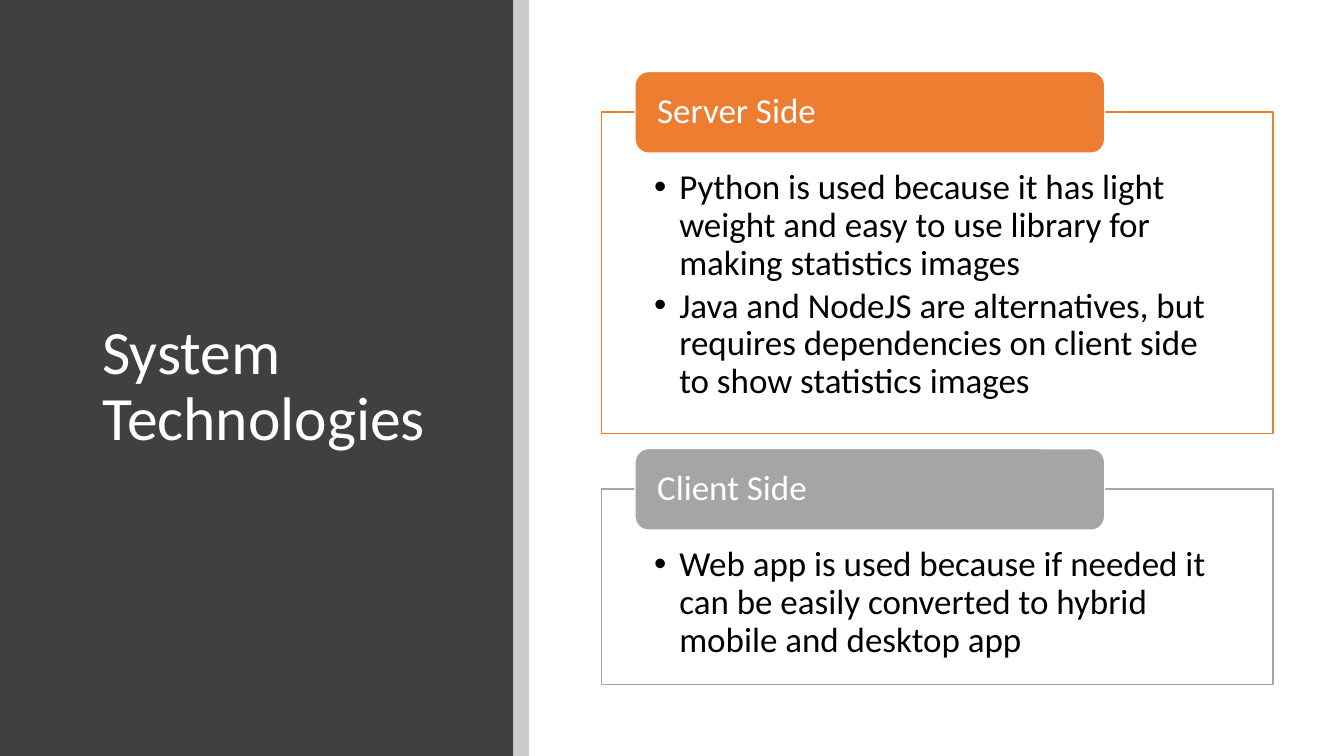
from dataclasses import dataclass

from lxml.etree import SubElement
from pptx import Presentation
from pptx.dml.color import RGBColor
from pptx.enum.shapes import MSO_SHAPE as SHAPE
from pptx.enum.text import MSO_ANCHOR as ANCHOR, MSO_AUTO_SIZE as AUTO, PP_ALIGN as ALIGN
from pptx.oxml.ns import qn
from pptx.util import Pt

WHITE = RGBColor(0xFF, 0xFF, 0xFF)
BLACK = RGBColor(0x00, 0x00, 0x00)
DARK = RGBColor(0x40, 0x40, 0x40)
ORANGE = RGBColor(0xED, 0x7D, 0x31)
GRAY = RGBColor(0xA5, 0xA5, 0xA5)
FONT = "Calibri"
PANEL_LEFT, PANEL_WIDTH = 429.84, 479.52
HEADER_LEFT, HEADER_WIDTH, HEADER_HEIGHT = 453.6, 335.5, 58.3
HEADER_RISE = 28.8
SLIDE_HEIGHT = 540


@dataclass
class Side:
    name: str
    color: RGBColor
    top: float
    height: float
    points: list[str]


SIDES = [
    Side("Server Side", ORANGE, 79.92, 229.68, [
        "Python is used because it has light weight and easy to use library for making statistics images",
        "Java and NodeJS are alternatives, but requires dependencies on client side to show statistics images",
    ]),
    Side("Client Side", GRAY, 349.2, 139.68, [
        "Web app is used because if needed it can be easily converted to hybrid mobile and desktop app",
    ]),
]


def place(sp, left: float, top: float, width: float, height: float) -> None:
    sp.left, sp.top, sp.width, sp.height = Pt(left), Pt(top), Pt(width), Pt(height)


def paint(sp, fill: RGBColor, line: RGBColor | None = None, alpha: int = 100) -> None:
    sp.fill.solid()
    sp.fill.fore_color.rgb = fill
    if alpha < 100:
        clr = sp.fill._xPr.find(qn("a:solidFill")).find(qn("a:srgbClr"))
        SubElement(clr, qn("a:alpha"), val=str(alpha * 1000))
    if line is None:
        sp.line.fill.background()
    else:
        sp.line.color.rgb = line
        sp.line.width = Pt(1)


def set_frame(tf, anchor: ANCHOR, left: float, top: float, right: float, bottom: float) -> None:
    tf.word_wrap = True
    tf.auto_size = AUTO.NONE
    tf.vertical_anchor = anchor
    tf.margin_left, tf.margin_top = Pt(left), Pt(top)
    tf.margin_right, tf.margin_bottom = Pt(right), Pt(bottom)


def write(p, text: str, size: float, color: RGBColor, after: float = 0) -> None:
    p.alignment = ALIGN.LEFT
    p.line_spacing = 0.9
    p.space_before, p.space_after = Pt(0), Pt(after)
    r = p.add_run()
    r.text = text
    r.font.name, r.font.size = FONT, Pt(size)
    r.font.color.rgb = color


def add_bullet(p) -> None:
    p.level = 1
    pPr = p._p.get_or_add_pPr()
    pPr.set("marL", str(Pt(18)))
    pPr.set("indent", str(-Pt(18)))
    SubElement(pPr, qn("a:buFont"), typeface="Arial")
    SubElement(pPr, qn("a:buChar"), char="•")


def add_sidebar(s, index: int, left: float, width: float, fill: RGBColor, alpha: int) -> None:
    sp = s.shapes.add_shape(SHAPE.RECTANGLE, Pt(left), Pt(0), Pt(width), Pt(SLIDE_HEIGHT))
    sp.shadow.inherit = False
    paint(sp, fill, alpha=alpha)
    s.shapes._spTree.insert(2 + index, sp._element)


def add_side(s, body, side: Side) -> None:
    place(body, PANEL_LEFT, side.top, PANEL_WIDTH, side.height)
    paint(body, WHITE, side.color, alpha=90)
    tf = body.text_frame
    set_frame(tf, ANCHOR.TOP, 37.4, 41, 37.4, 13.7)
    for i, point in enumerate(side.points):
        p = tf.add_paragraph() if i else tf.paragraphs[0]
        write(p, point, 25, BLACK, after=3.75)
        add_bullet(p)

    header = s.shapes.add_shape(SHAPE.ROUNDED_RECTANGLE, Pt(HEADER_LEFT), Pt(side.top - HEADER_RISE),
                                Pt(HEADER_WIDTH), Pt(HEADER_HEIGHT))
    header.shadow.inherit = False
    paint(header, side.color, WHITE)
    set_frame(header.text_frame, ANCHOR.MIDDLE, 13, 0, 13, 0)
    write(header.text_frame.paragraphs[0], side.name, 25, WHITE)


def main() -> None:
    prs = Presentation()
    prs.slide_width, prs.slide_height = Pt(960), Pt(SLIDE_HEIGHT)
    s = prs.slides.add_slide(prs.slide_layouts[3])
    add_sidebar(s, 0, 0, 366.5, DARK, 100)
    add_sidebar(s, 1, 366.5, 11.5, BLACK, 20)

    title = s.shapes.title
    place(title, 66, 64, 263, 425.5)
    set_frame(title.text_frame, ANCHOR.MIDDLE, 7.2, 3.6, 7.2, 3.6)
    write(title.text_frame.paragraphs[0], "System Technologies", 44, WHITE)

    for body, side in zip((s.placeholders[1], s.placeholders[2]), SIDES):
        add_side(s, body, side)
    prs.save("out.pptx")


if __name__ == "__main__":
    main()
